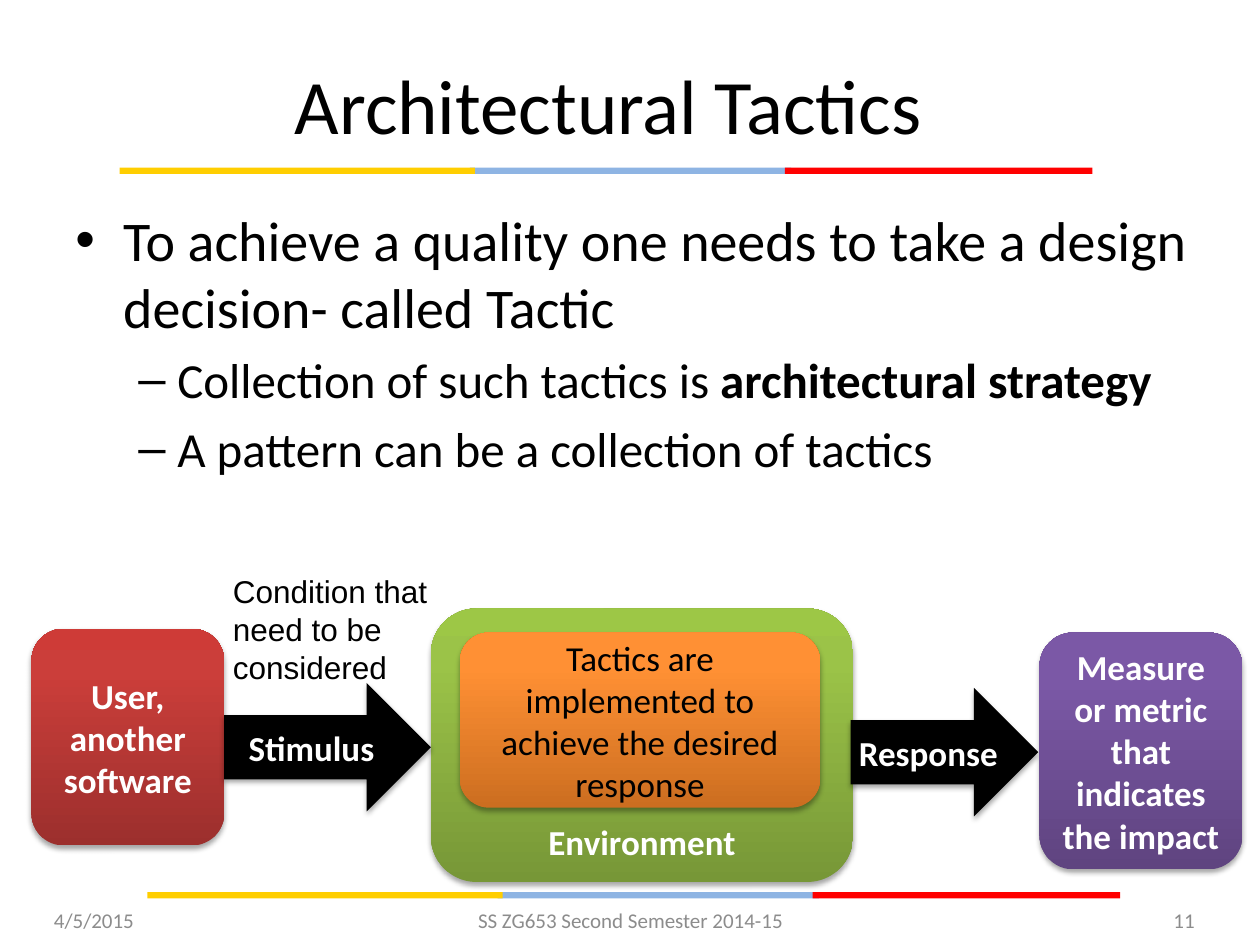
import copy
import pptx
import pptx.util
import pptx.dml.color
import pptx.enum.shapes
import pptx.enum.text
import pptx.oxml
import pptx.oxml.ns

RGBColor = pptx.dml.color.RGBColor
Inches = pptx.util.Inches
Pt = pptx.util.Pt
Shape = pptx.enum.shapes.MSO_SHAPE
Align = pptx.enum.text.PP_ALIGN
Anchor = pptx.enum.text.MSO_ANCHOR
qn = pptx.oxml.ns.qn

BLACK = RGBColor(0x00, 0x00, 0x00)
WHITE = RGBColor(0xFF, 0xFF, 0xFF)
GREY = RGBColor(0x8C, 0x8C, 0x8C)
YELLOW = RGBColor(0xFF, 0xCE, 0x00)
BLUE = RGBColor(0x8E, 0xB4, 0xE3)
RED = RGBColor(0xFF, 0x00, 0x00)
RED_SHADES = (RGBColor(0x9C, 0x2F, 0x2D), RGBColor(0xCB, 0x3E, 0x3A), RGBColor(0xCE, 0x3B, 0x37))
GREEN_SHADES = (RGBColor(0x77, 0x97, 0x37), RGBColor(0x9B, 0xC3, 0x48), RGBColor(0x9D, 0xC7, 0x46))
ORANGE_SHADES = (RGBColor(0xCC, 0x6E, 0x20), RGBColor(0xFF, 0x90, 0x34), RGBColor(0xFF, 0x91, 0x36))
PURPLE_SHADES = (RGBColor(0x5F, 0x44, 0x80), RGBColor(0x7B, 0x58, 0xA6), RGBColor(0x7C, 0x57, 0xA8))
SHADE_POSITIONS = (0, 0.8, 1)

WIDTH, HEIGHT = 10, 7.5
RULE_ORIGINS = [(0.95, 1.33), (1.17, 7.08)]
RULE_SEGMENTS = [(2.78, 2.55, BLUE), (5.28, 2.44, RED), (0, 2.82, YELLOW)]
RULE_THICKNESS = 0.05

TITLE = "Architectural Tactics"
BULLETS = [
    ("•", 32, 0.38, 0.38, [("To achieve a quality one needs to take a design decision- called Tactic", False)]),
    ("–", 28, 0.81, 0.31, [("Collection of such tactics is ", False), ("architectural strategy", True)]),
    ("–", 28, 0.81, 0.31, [("A pattern can be a collection of tactics", False)]),
]
FOOTERS = [
    ("4/5/2015", 0.33, 2.33, Align.LEFT),
    ("SS ZG653 Second Semester 2014-15", 3.42, 3.17, Align.CENTER),
    ("11", 7.25, 2.33, Align.RIGHT),
]
BOLD_WHITE = {"color": WHITE, "bold": True}
DIAGRAM = [
    (Shape.ROUNDED_RECTANGLE, (0.25, 4.99, 1.53, 1.72), RED_SHADES,
     ["User, another software"], BOLD_WHITE),
    (Shape.ROUNDED_RECTANGLE, (3.42, 4.83, 3.35, 2.17), GREEN_SHADES,
     ["Environment"], {**BOLD_WHITE, "anchor": Anchor.BOTTOM}),
    (Shape.RIGHT_ARROW, (1.78, 5.42, 1.64, 1.02), BLACK, ["Stimulus"], BOLD_WHITE),
    (Shape.RIGHT_ARROW, (6.75, 5.46, 1.49, 1.02), BLACK,
     ["Response"], {**BOLD_WHITE, "side_inset": 0}),
    (Shape.ROUNDED_RECTANGLE, (3.65, 5.02, 2.86, 1.39), ORANGE_SHADES,
     ["Tactics are implemented to achieve the desired response"], {}),
    (Shape.ROUNDED_RECTANGLE, (8.25, 5.02, 1.61, 1.88), PURPLE_SHADES,
     ["Measure or metric", "that indicates the impact"], BOLD_WHITE),
]
CONDITION = "Condition that need to be considered"


def add_span(para, text, size, font="Calibri", color=BLACK, bold=False):
    span = para.add_run()
    span.text = text
    span.font.size = Pt(size)
    span.font.name = font
    span.font.color.rgb = color
    span.font.bold = bold


def write_text(box, lines, size=20, align=Align.CENTER, anchor=Anchor.MIDDLE, side_inset=0.1, **style):
    frame = box.text_frame
    frame.word_wrap = True
    frame.vertical_anchor = anchor
    frame.margin_left = frame.margin_right = Inches(side_inset)
    for index, line in enumerate(lines):
        para = frame.add_paragraph() if index else frame.paragraphs[0]
        para.alignment = align
        add_span(para, line, size, **style)


def add_box(page, place):
    return page.shapes.add_textbox(*map(Inches, place))


def add_shape(page, kind, place, fill):
    shape = page.shapes.add_shape(kind, *map(Inches, place))
    shape.line.fill.background()
    shape.shadow.inherit = False
    if isinstance(fill, RGBColor):
        shape.fill.solid()
        shape.fill.fore_color.rgb = fill
        return shape
    shape.fill.gradient()
    shape.fill.gradient_angle = 90
    stop_list = shape._element.spPr.find(".//" + qn("a:gsLst"))
    stop_list.insert(1, copy.deepcopy(stop_list[0]))
    for stop, position, color in zip(shape.fill.gradient_stops, SHADE_POSITIONS, fill):
        stop.position = position
        stop.color.rgb = color
    return shape


def add_shadow(shape):
    effects = shape._element.spPr.find(qn("a:effectLst"))
    effects.append(pptx.oxml.parse_xml(
        '<a:outerShdw xmlns:a="http://schemas.openxmlformats.org/drawingml/2006/main" '
        f'blurRad="{Pt(3.1)}" dist="{Pt(1.8)}" dir="5400000" rotWithShape="0">'
        '<a:srgbClr val="000000"><a:alpha val="35000"/></a:srgbClr></a:outerShdw>'))


def add_rules(page):
    for left, top in RULE_ORIGINS:
        for offset, width, color in RULE_SEGMENTS:
            add_shape(page, Shape.RECTANGLE, (left + offset, top, width, RULE_THICKNESS), color)


def add_bullets(page):
    frame = add_box(page, (0.5, 1.58, 9.17, 2.58)).text_frame
    frame.word_wrap = True
    for index, (mark, size, indent, hanging, spans) in enumerate(BULLETS):
        para = frame.add_paragraph() if index else frame.paragraphs[0]
        para.level = 1 if index else 0
        para.space_before = Pt(size * 0.2)
        properties = para._p.get_or_add_pPr()
        properties.set("marL", str(Inches(indent)))
        properties.set("indent", str(-Inches(hanging)))
        font = properties.makeelement(qn("a:buFont"), {"typeface": "Arial"})
        bullet = properties.makeelement(qn("a:buChar"), {"char": mark})
        properties.extend([font, bullet])
        for text, bold in spans:
            add_span(para, text, size, bold=bold)


def add_diagram(page):
    for kind, place, fill, lines, style in DIAGRAM:
        shape = add_shape(page, kind, place, fill)
        add_shadow(shape)
        write_text(shape, lines, **style)
    write_text(add_box(page, (1.75, 4.49, 2.32, 1.01)), [CONDITION], size=18,
               align=Align.LEFT, anchor=Anchor.TOP, font="Arial")


def main():
    deck = pptx.Presentation()
    deck.slide_width, deck.slide_height = Inches(WIDTH), Inches(HEIGHT)
    page = deck.slides.add_slide(deck.slide_layouts[6])
    add_rules(page)
    write_text(add_box(page, (0.33, 0.31, 9, 1.03)), [TITLE], size=44)
    add_bullets(page)
    for text, left, width, align in FOOTERS:
        write_text(add_box(page, (left, 7.1, width, 0.4)), [text], size=12, align=align, color=GREY)
    add_diagram(page)
    deck.save("out.pptx")


if __name__ == "__main__":
    main()
